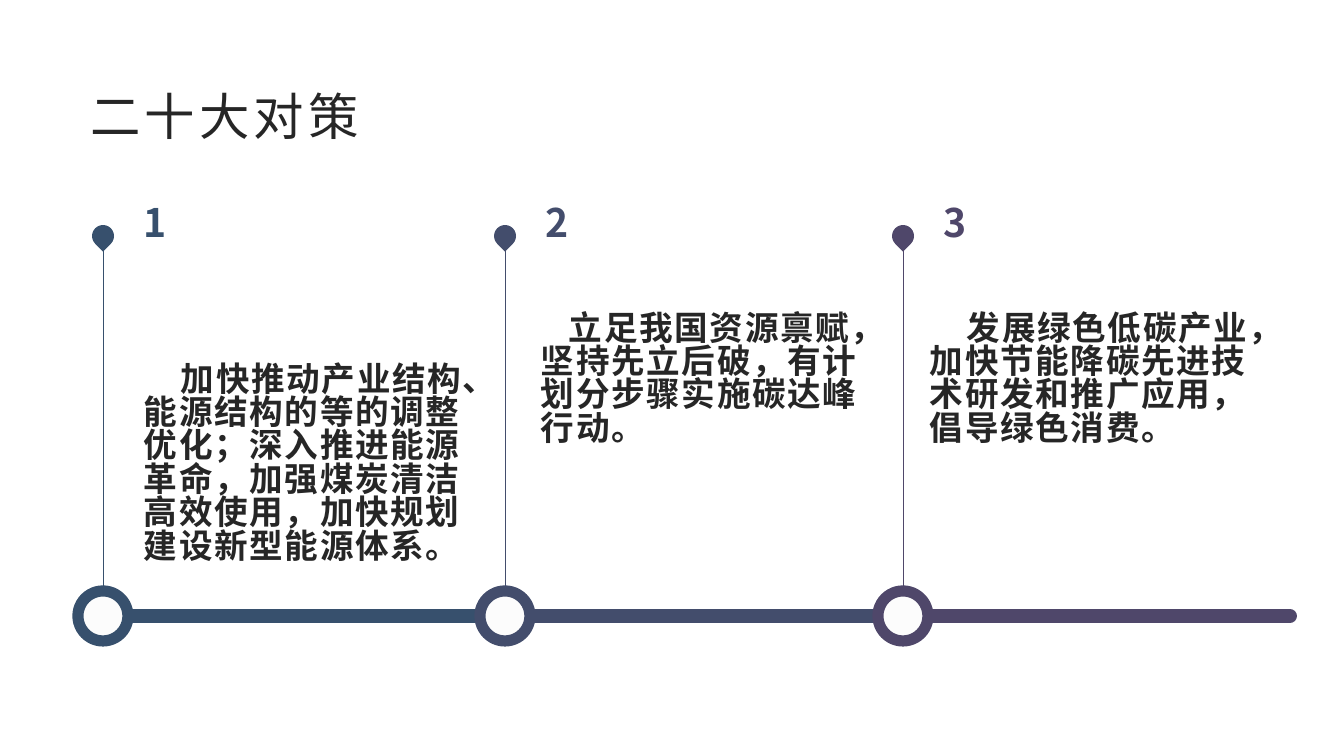
"""Build a three-step timeline slide of countermeasures."""
from dataclasses import dataclass

from lxml import etree
from pptx import Presentation, util as u
from pptx.dml.color import RGBColor
from pptx.enum import shapes, text
from pptx.oxml import ns

TITLE = "二十大对策"
STEPS = [
    dict(number="1", color="37506D", center=103, body_at=(134, 271, 351, 299), indent=37,
         body="加快推动产业结构、能源结构的等的调整优化；深入推进能源革命，加强煤炭清洁高效使用，加快规划建设新型能源体系。"),
    dict(number="2", color="434D6C", center=505, body_at=(531, 283, 351, 169), indent=28,
         body="立足我国资源禀赋，坚持先立后破，有计划分步骤实施碳达峰行动。"),
    dict(number="3", color="4F476A", center=903, body_at=(920, 276, 351, 176), indent=37,
         body="发展绿色低碳产业，加快节能降碳先进技术研发和推广应用，倡导绿色消费。"),
]


@dataclass(frozen=True)
class Theme:
    font: str = "Noto Sans CJK JP"
    ink: str = "262626"
    paper: str = "FCFCFC"
    title: int = 36
    number: int = 28
    body: int = 24
    bar: int = 10
    ring: int = 8
    stem: float = 0.5


THEME = Theme()
SLIDE_WIDTH, SLIDE_HEIGHT = 1344, 756
AXIS_Y, AXIS_END = 616, 1290
RING, PIN = 50, 22
PIN_TOP, STEM_TOP, STEM_BOTTOM = 225, 251, 589


def px(value):
    return round(value * 914400 / 100.8)


def place(shape, left, top, width, height):
    shape.left, shape.top, shape.width, shape.height = map(px, (left, top, width, height))


def write(box, words, size, color, bold=False, spacing=0, indent=0, leading=1.0,
          anchor=text.MSO_ANCHOR.TOP):
    frame = box.text_frame
    frame.word_wrap = True
    frame.auto_size = text.MSO_AUTO_SIZE.NONE
    frame.vertical_anchor = anchor
    para = frame.paragraphs[0]
    para.alignment = text.PP_ALIGN.LEFT
    para.line_spacing = leading
    if indent:
        props = para._p.get_or_add_pPr()
        props.set("marL", "0")
        props.set("indent", str(px(indent)))
    span = para.add_run()
    span.text = words
    font = span.font
    font.name, font.size, font.bold = THEME.font, u.Pt(size), bold
    font.color.rgb = RGBColor.from_string(color)
    props = span._r.get_or_add_rPr()
    props.set("lang", "zh-CN")
    props.set("spc", str(round(spacing * 100)))
    etree.SubElement(props, ns.qn("a:ea")).set("typeface", THEME.font)


def add_text(page, at, words, **style):
    box = page.shapes.add_textbox(*map(px, at))
    write(box, words, **style)


def add_line(page, start, end, color, width, cap="flat"):
    line = page.shapes.add_connector(shapes.MSO_CONNECTOR.STRAIGHT, *map(px, start + end))
    line.line.color.rgb = RGBColor.from_string(color)
    line.line.width = u.Pt(width)
    line.line._get_or_add_ln().set("cap", cap)
    etree.SubElement(line._element.spPr, ns.qn("a:effectLst"))


def add_mark(page, kind, center, top, size, fill, ring=None):
    mark = page.shapes.add_shape(kind, *map(px, (center - size / 2, top, size, size)))
    mark.shadow.inherit = False
    mark.fill.solid()
    mark.fill.fore_color.rgb = RGBColor.from_string(fill)
    if ring:
        mark.line.color.rgb = RGBColor.from_string(ring)
        mark.line.width = u.Pt(THEME.ring)
    else:
        mark.line.fill.background()
    return mark


def add_step(page, step, bar_end):
    center, color = step["center"], step["color"]
    add_line(page, (center - 6, AXIS_Y), (bar_end, AXIS_Y), color, THEME.bar, cap="rnd")
    add_text(page, (center + 31, 199, 136, 72), step["number"],
             size=THEME.number, color=color, bold=True, leading=0.9)
    add_mark(page, shapes.MSO_SHAPE.OVAL, center, AXIS_Y - RING / 2, RING, THEME.paper, color)
    add_line(page, (center, STEM_TOP), (center, STEM_BOTTOM), color, THEME.stem)
    pin = add_mark(page, shapes.MSO_SHAPE.TEAR, center, PIN_TOP, PIN, color)
    pin.rotation = 135
    add_text(page, step["body_at"], step["body"], size=THEME.body, color=THEME.ink, bold=True,
             spacing=1.2, indent=step["indent"], leading=0.83, anchor=text.MSO_ANCHOR.BOTTOM)


def main():
    deck = Presentation()
    deck.slide_width, deck.slide_height = px(SLIDE_WIDTH), px(SLIDE_HEIGHT)
    page = deck.slides.add_slide(deck.slide_layouts[5])
    title = page.shapes.title
    place(title, 80, 74, 327, 77)
    write(title, TITLE, size=THEME.title, color=THEME.ink, spacing=3,
          anchor=text.MSO_ANCHOR.BOTTOM)
    bar_ends = [step["center"] - 11 for step in STEPS[1:]] + [AXIS_END]
    for step, bar_end in zip(STEPS, bar_ends):
        add_step(page, step, bar_end)
    deck.save("out.pptx")


if __name__ == "__main__":
    main()
